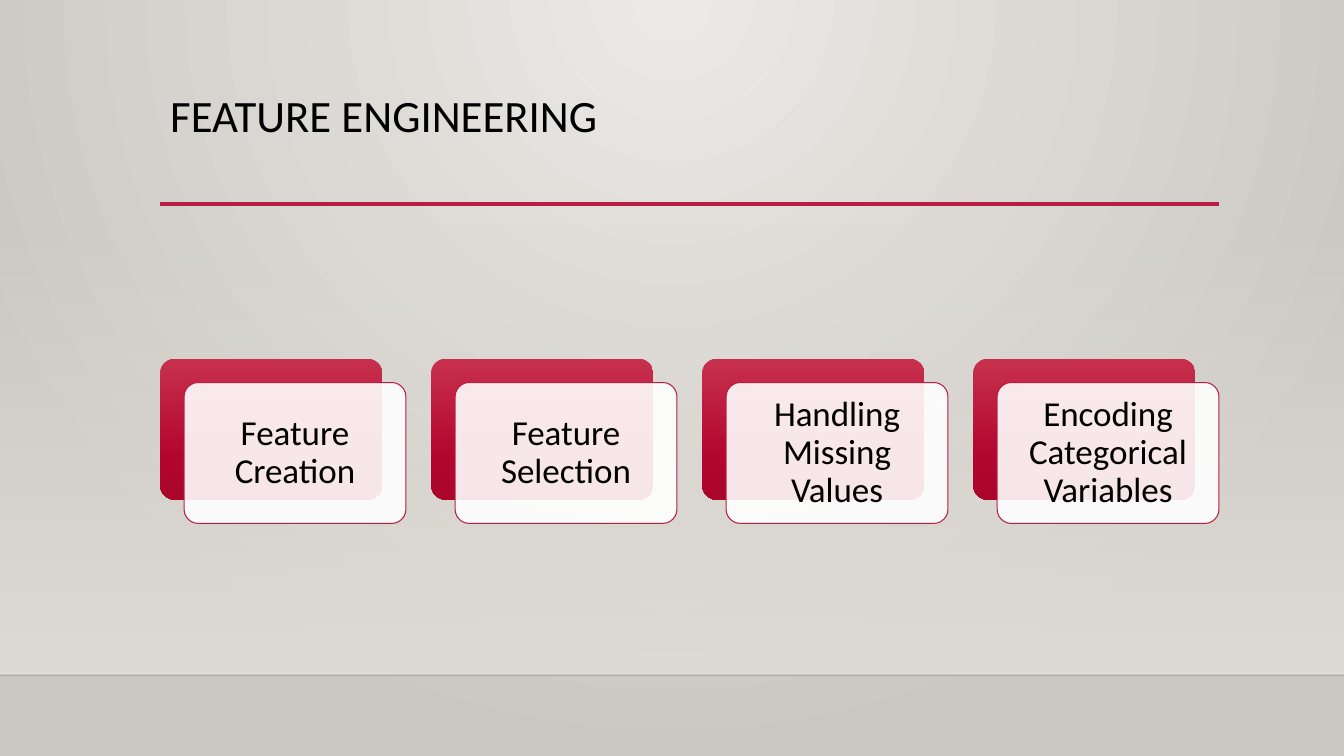
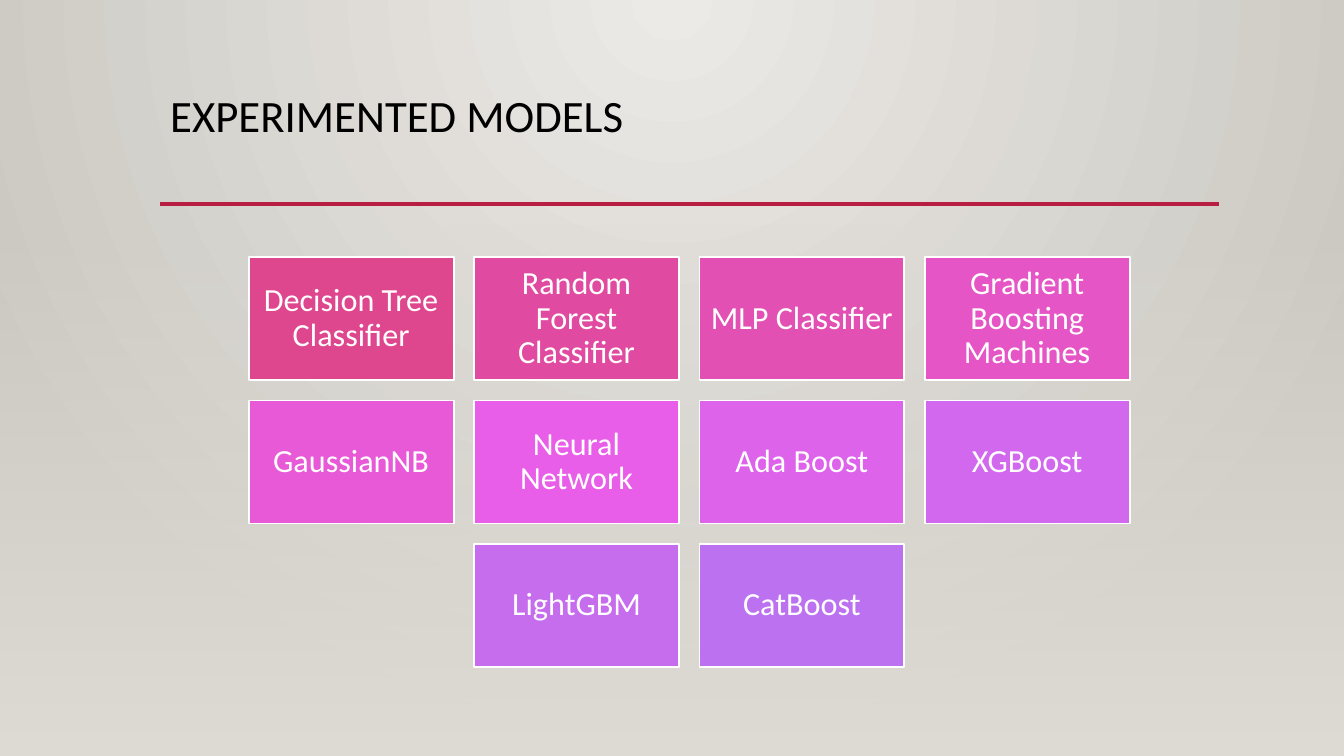
from lxml import etree
from pptx import Presentation
from pptx import util as u
from pptx.dml.color import RGBColor
from pptx.enum import shapes, text
from pptx.oxml import ns

FONT = "Calibri"
ACCENT, BLACK, WHITE = "B71E42", "000000", "FFFFFF"
WIDTH, HEIGHT = 33.87, 19.05
FLOOR = 17.02
LEFT, RIGHT = 4.04, 30.72

# Gradient stops: position %, colour, opacity %
BACKDROP = [(0, "ECEAE7", 100), (100, "CAC7C1", 100)]
HAZE = [(0, "DFDBD5", 0), (100, "DFDBD5", 100)]
CARD_BACK = [(0, "C7304C", 100), (69, "B3062F", 100), (100, "AA062C", 100)]

STEPS = ["Feature Creation", "Feature Selection",
         "Handling Missing Values", "Encoding Categorical Variables"]
MODELS = [("Decision Tree Classifier", "DE478E"),
          ("Random Forest Classifier", "E04BA1"),
          ("MLP Classifier", "E350B4"),
          ("Gradient Boosting Machines", "E555C6"),
          ("GaussianNB", "E759D7"),
          ("Neural Network", "E95EE8"),
          ("Ada Boost", "DD63EB"),
          ("XGBoost", "D268ED"),
          ("LightGBM", "C66DEE"),
          ("CatBoost", "BC72F0")]


def rgb(value):
    return RGBColor.from_string(value)


def assign(target, formats):
    for name, value in formats.items():
        setattr(target, name, value)


def sub(parent, tag, **attributes):
    return etree.SubElement(parent, ns.qn(tag), attributes)


def set_alpha(owner, percent):
    """Make the first solid colour below owner partly transparent."""
    colour = owner.xpath(".//a:solidFill/a:srgbClr")[0]
    sub(colour, "a:alpha", val=str(percent * 1000))


def set_gradient(fill, owner, stops, circular=False):
    fill.solid()
    fill.fore_color.rgb = rgb(WHITE)
    solid = owner.xpath("./a:solidFill")[0]
    gradient = etree.Element(ns.qn("a:gradFill"), rotWithShape="1")
    stop_list = sub(gradient, "a:gsLst")
    for position, colour, opacity in stops:
        stop = sub(stop_list, "a:gs", pos=str(position * 1000))
        paint = sub(stop, "a:srgbClr", val=colour)
        if opacity < 100:
            sub(paint, "a:alpha", val=str(opacity * 1000))
    if circular:
        centre = sub(gradient, "a:path", path="circle")
        sub(centre, "a:fillToRect", l="43000", t="0", r="43000", b="100000")
    else:
        sub(gradient, "a:lin", ang="5400000", scaled="0")
    owner.replace(solid, gradient)


def add_panel(slide, kind, box, fill, outline=None, weight=1):
    """Add a shape; fill is one colour or a list of gradient stops."""
    panel = slide.shapes.add_shape(kind, *map(u.Cm, box))
    panel.shadow.inherit = False
    if isinstance(fill, str):
        panel.fill.solid()
        panel.fill.fore_color.rgb = rgb(fill)
    else:
        set_gradient(panel.fill, panel.element.spPr, fill)
    if outline:
        panel.line.color.rgb = rgb(outline)
        panel.line.width = u.Pt(weight)
    else:
        panel.line.fill.background()
    return panel


def add_rule(slide, left, right, top, colour, weight):
    rule = slide.shapes.add_connector(
        shapes.MSO_CONNECTOR.STRAIGHT,
        *map(u.Cm, (left, top, right, top)))
    rule.line.color.rgb = rgb(colour)
    rule.line.width = u.Pt(weight)
    sub(rule.element.spPr, "a:effectLst")
    return rule


def write(shape, words, size, colour, align, anchor, inset):
    frame = shape.text_frame
    frame.text = words
    assign(frame, {"word_wrap": True, "vertical_anchor": anchor,
                   "auto_size": text.MSO_AUTO_SIZE.NONE,
                   **{f"margin_{side}": u.Cm(inset)
                      for side in ("left", "right", "top", "bottom")}})
    paragraph = frame.paragraphs[0]
    assign(paragraph, {"alignment": align, "line_spacing": 0.9})
    assign(paragraph.font, {"name": FONT, "size": u.Pt(size)})
    paragraph.font.color.rgb = rgb(colour)


def write_label(shape, words, size, colour):
    write(shape, words, size, colour, text.PP_ALIGN.CENTER,
          text.MSO_ANCHOR.MIDDLE, 0.25)


def add_titled_slide(prs, heading, haze_bottom):
    """Add a slide with the shared haze, heading and rule."""
    slide = prs.slides.add_slide(prs.slide_layouts[5])
    add_panel(slide, shapes.MSO_SHAPE.RECTANGLE,
              (0, 5.61, WIDTH, haze_bottom - 5.61), HAZE)
    title = slide.shapes.title
    assign(title, {"left": u.Cm(LEFT), "top": u.Cm(2.24),
                   "width": u.Cm(RIGHT - LEFT), "height": u.Cm(2.92)})
    write(title, heading, 32, BLACK, text.PP_ALIGN.LEFT,
          text.MSO_ANCHOR.TOP, 0.13)
    title.text_frame.margin_left = u.Cm(0.25)
    add_rule(slide, LEFT, RIGHT, 5.14, ACCENT, 2.5)
    return slide


def add_card_row(slide, box, steps):
    """Spread double-layer cards evenly over the box."""
    left, top, width, height = box
    shift = 0.6
    card_width, card_height = 5.59, height - shift
    pitch = (width - shift - card_width) / (len(steps) - 1)
    for index, step in enumerate(steps):
        x = left + index * pitch
        back = add_panel(slide, shapes.MSO_SHAPE.ROUNDED_RECTANGLE,
                         (x, top, card_width, card_height), CARD_BACK)
        front = add_panel(slide, shapes.MSO_SHAPE.ROUNDED_RECTANGLE,
                          (x + shift, top + shift, card_width, card_height),
                          WHITE, ACCENT, 0.75)
        set_alpha(front.element.spPr, 90)
        for layer in (back, front):
            layer.adjustments[0] = 0.1
        write_label(front, step, 25, BLACK)


def add_tile_grid(slide, left, top, width, models, columns=4):
    """Fill rows of tiles; a short last row is centred."""
    tile_width = width / (columns + 0.1 * (columns - 1))
    tile_height, gap = 0.6 * tile_width, 0.1 * tile_width
    for start in range(0, len(models), columns):
        row = models[start:start + columns]
        indent = (columns - len(row)) * (tile_width + gap) / 2
        y = top + start // columns * (tile_height + gap)
        for column, (model, colour) in enumerate(row):
            x = left + indent + column * (tile_width + gap)
            tile = add_panel(slide, shapes.MSO_SHAPE.RECTANGLE,
                             (x, y, tile_width, tile_height),
                             colour, WHITE, 1.25)
            write_label(tile, model, 23, WHITE)


def build_feature_slide(prs):
    slide = add_titled_slide(prs, "FEATURE ENGINEERING", FLOOR)
    floor_edge = add_rule(slide, 0, WIDTH, FLOOR, BLACK, 1)
    set_alpha(floor_edge.element.spPr, 20)
    add_card_row(slide, (LEFT, 9.04, RIGHT - LEFT, 4.15), STEPS)


def build_model_slide(prs):
    slide = add_titled_slide(prs, "EXPERIMENTED MODELS", HEIGHT)
    add_tile_grid(slide, 6.27, 6.48, 22.2, MODELS)


def main():
    prs = Presentation()
    assign(prs, {"slide_width": u.Cm(WIDTH), "slide_height": u.Cm(HEIGHT)})
    # Shared backdrop on the master
    master = prs.slide_master
    backdrop = master.background.fill
    set_gradient(backdrop, master.element.xpath(".//p:bgPr")[0],
                 BACKDROP, circular=True)
    build_feature_slide(prs)
    build_model_slide(prs)
    prs.save("out.pptx")


if __name__ == "__main__":
    main()
